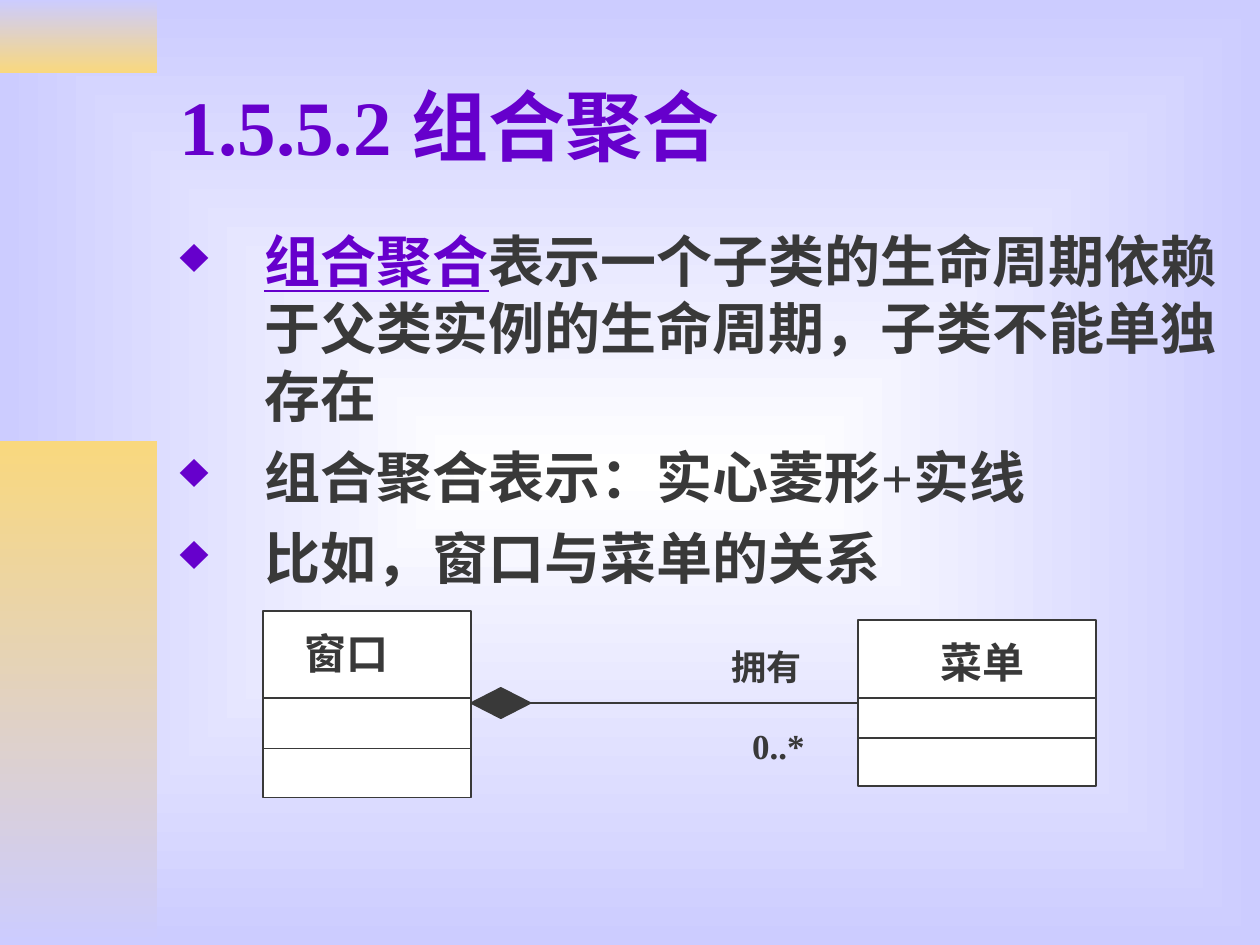
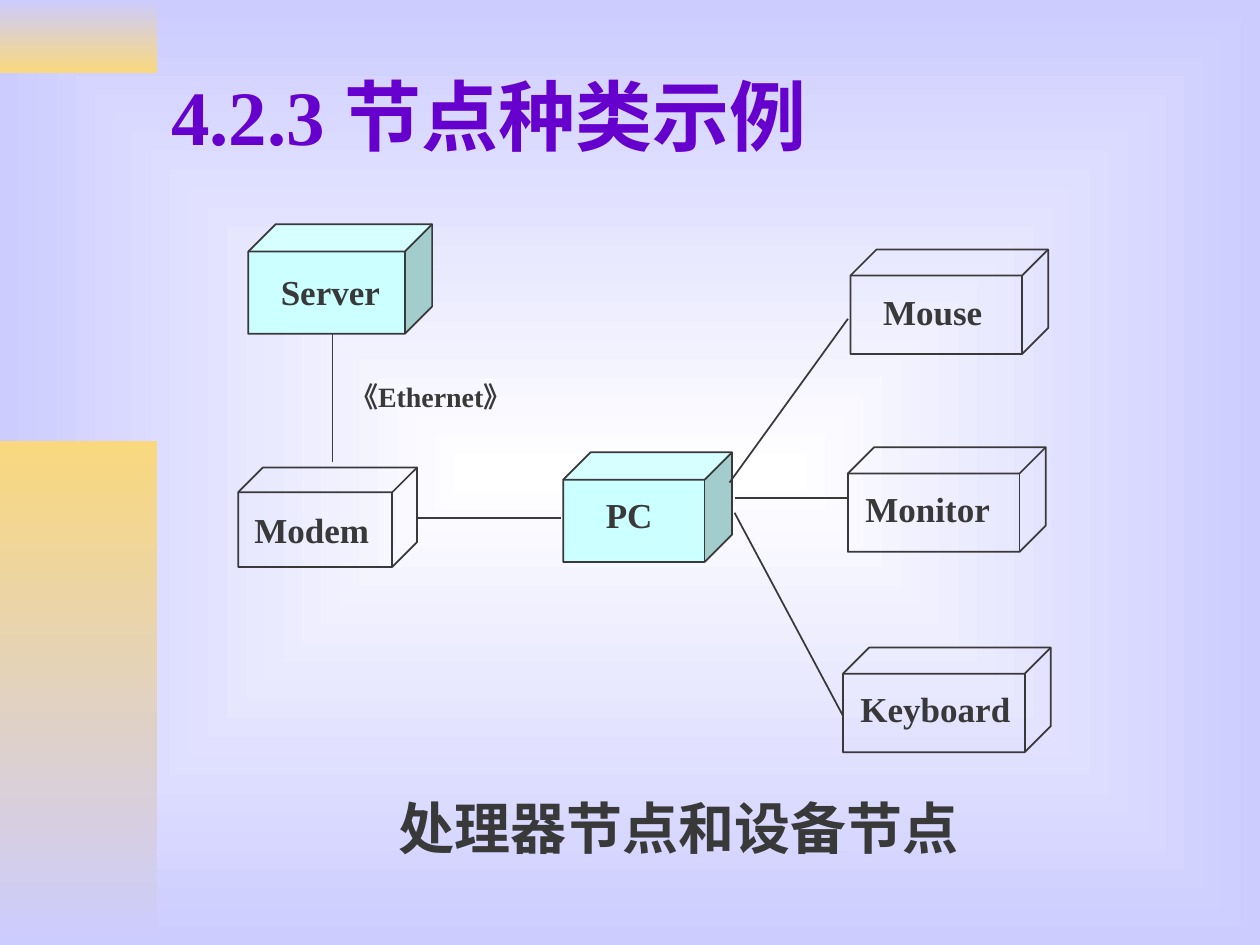
from lxml.etree import SubElement
from pptx import Presentation
from pptx.dml.color import RGBColor
from pptx.enum.shapes import MSO_CONNECTOR, MSO_SHAPE
from pptx.enum.text import MSO_ANCHOR, PP_ALIGN
from pptx.oxml.ns import qn
from pptx.util import Inches, Pt

VIOLET = RGBColor(0x66, 0x00, 0xCC)
INK = RGBColor(0x39, 0x39, 0x39)
LILAC = RGBColor(0xCC, 0xCC, 0xFF)
GOLD = RGBColor(0xF9, 0xD8, 0x7E)
AQUA = RGBColor(0xCC, 0xFF, 0xFF)
WHITE = RGBColor(0xFF, 0xFF, 0xFF)

# The slide is a grid of 100 columns by 75 rows
COLS, ROWS = 100, 75
WIDE, HIGH = Inches(10), Inches(7.5)

BASE = {"name": "Times New Roman", "bold": True}
HEAD = {**BASE, "size": Pt(44)}
BODY = {**BASE, "size": Pt(32)}
TERM = {**BODY, "underline": True}
NAME = {**BASE, "size": Pt(24)}
NOTE = {**BASE, "size": Pt(20)}
SMALL = {**BASE, "size": Pt(16)}


def grid(*vals):
    """Turn column, row, column, row ... into lengths."""
    unit = (WIDE / COLS, HIGH / ROWS)
    return [round(v * unit[i % 2]) for i, v in enumerate(vals)]


def write(para, text, form, color=INK):
    run = para.add_run()
    run.text = text
    for key, val in form.items():
        setattr(run.font, key, val)
    run.font.color.rgb = color


def text_box(slide, box):
    frame = slide.shapes.add_textbox(*grid(*box)).text_frame
    frame.word_wrap = True
    return frame


def label(slide, box, text, form, align=PP_ALIGN.LEFT):
    para = text_box(slide, box).paragraphs[0]
    para.alignment = align
    write(para, text, form)
    return para


def outline(shape):
    shape.line.color.rgb = INK
    shape.line.width = Pt(1)


def draw(slide, kind, box, fill=None):
    shape = slide.shapes.add_shape(kind, *grid(*box))
    shape.shadow.inherit = False
    if fill is None:
        shape.fill.background()
    else:
        shape.fill.solid()
        shape.fill.fore_color.rgb = fill
    outline(shape)
    return shape


def link(slide, *ends):
    line = slide.shapes.add_connector(MSO_CONNECTOR.STRAIGHT, *grid(*ends))
    outline(line)
    SubElement(line._element.spPr, qn("a:effectLst"))
    return line


def blend(fill, *colors):
    fill.gradient()
    for stop, color in zip(fill.gradient_stops, colors):
        stop.color.rgb = color


def backdrop(master):
    fill = master.background.fill
    blend(fill, WHITE, LILAC)
    grad = master._element.find(".//" + qn("a:gradFill"))
    grad.remove(grad.find(qn("a:lin")))
    rect = SubElement(grad, qn("a:path"), {"path": "rect"})
    SubElement(rect, qn("a:fillToRect"), {side: "50000" for side in "ltrb"})


def base(deck, title, left, top):
    """A slide with its two side bands and its title."""
    slide = deck.slides.add_slide(deck.slide_layouts[6])
    for row, rows, colors in ((0, 5.8, (LILAC, GOLD)), (35, 40, (GOLD, LILAC))):
        band = draw(slide, MSO_SHAPE.RECTANGLE, (0, row, 12.5, rows))
        blend(band.fill, *colors)
        band.fill.gradient_angle = 270
        band.line.fill.background()
    frame = text_box(slide, (left, top, 85, 13.2))
    frame.vertical_anchor = MSO_ANCHOR.MIDDLE
    write(frame.paragraphs[0], title, HEAD, VIOLET)
    return slide


def bullet(para):
    props = para._p.get_or_add_pPr()
    props.set("marL", str(Inches(0.67)))
    props.set("indent", str(-Inches(0.67)))
    color = SubElement(props, qn("a:buClr"))
    SubElement(color, qn("a:srgbClr"), val=str(VIOLET))
    SubElement(props, qn("a:buSzPct"), val="90000")
    SubElement(props, qn("a:buChar"), char="♦")


def points(slide, box, items):
    frame = text_box(slide, box)
    for i, runs in enumerate(items):
        para = frame.add_paragraph() if i else frame.paragraphs[0]
        bullet(para)
        if i:
            para.space_before = Pt(8)
        for run in runs:
            write(para, *run)


def class_box(slide, box, name, spot, align, rules):
    """A class: its name at an inset box, and rules at rows from its top."""
    x, y, w, h = box
    rect = draw(slide, MSO_SHAPE.RECTANGLE, box, WHITE)
    inset, wide = spot
    label(slide, (x + inset, y + 0.8, wide, 5), name, NAME, align)
    for row in rules:
        link(slide, x, y + row, x + w, y + row)
    return rect


def classes(slide, box):
    """Two classes joined by a filled diamond and a line."""
    x, y = box[:2]
    class_box(slide, (x, y, 16.5, 14.8), "窗口", (2.3, 11),
              PP_ALIGN.LEFT, (6.9, 10.9))
    menu = class_box(slide, (x + 47.2, y + 0.7, 18.9, 13.2), "菜单",
                     (1.6, 16.5), PP_ALIGN.CENTER, (6.2, 9.4))
    gem = draw(slide, MSO_SHAPE.FLOWCHART_DECISION,
               (x + 16.5, y + 6.1, 4.7, 2.4), INK)
    line = link(slide, x + 21.2, y + 7.3, x + 47.2, y + 7.3)
    line.begin_connect(gem, 3)
    line.end_connect(menu, 1)
    label(slide, (x + 36.2, y + 2.2, 10.2, 4.4), "拥有", NOTE)
    label(slide, (x + 37.8, y + 8.5, 7.1, 4.4), "0..*", NOTE)


def node(slide, box, name, spot, fill=None):
    """A cube with its name at an inset left, top and width."""
    x, y = box[:2]
    draw(slide, MSO_SHAPE.CUBE, box, fill).adjustments[0] = 0.25
    left, top, wide = spot
    label(slide, (x + left, y + top, wide, 4.4), name, NOTE)


def network(slide, box):
    x, y = box[:2]
    # Nodes: place and size, name, label inset, fill
    for (left, top, w, h), *rest in (
        ((0.8, 0, 14.6, 8.7), "Server", (1.6, 3.2, 10.2), AQUA),
        ((25.8, 18.1, 13.4, 8.7), "PC", (2.4, 2.8, 7.1), AQUA),
        ((0, 19.3, 14.2, 7.9), "Modem", (0.3, 2.8, 11.4)),
        ((48.6, 2, 15.7, 8.3), "Mouse", (1.6, 2.8, 10.2)),
        ((48.4, 17.7, 15.7, 8.3), "Monitor", (0.4, 2.7, 13.4)),
        ((48, 33.6, 16.5, 8.3), "Keyboard", (0.4, 2.7, 14.9)),
    ):
        node(slide, (x + left, y + top, w, h), *rest)
    # Lines between nodes
    for x1, y1, x2, y2 in (
        (7.5, 18.9, 7.5, 8.7),
        (14.2, 23.3, 25.6, 23.3),
        (39.4, 21.7, 48.4, 21.7),
        (39.4, 22.9, 48, 39),
        (39, 20.5, 48.4, 7.5),
    ):
        link(slide, x + x1, y + y1, x + x2, y + y2)
    label(slide, (x + 7.9, y + 11.8, 16.1, 3.7), "《Ethernet》", SMALL)


def main():
    deck = Presentation()
    deck.slide_width, deck.slide_height = WIDE, HIGH
    backdrop(deck.slide_master)

    # Composition
    slide = base(deck, "1.5.5.2 组合聚合", 13.3, 3.3)
    points(slide, (13.3, 17.5, 85, 31), (
        (("组合聚合", TERM, VIOLET),
         ("表示一个子类的生命周期依赖于父类实例的生命周期，子类不能单独存在", BODY)),
        (("组合聚合表示：实心菱形+实线", BODY),),
        (("比如，窗口与菜单的关系", BODY),),
    ))
    classes(slide, (20.9, 48.5, 66.1, 14.8))

    # Kinds of node
    slide = base(deck, "4.2.3 节点种类示例", 12.6, 2.5)
    para = label(slide, (11.4, 63.9, 85, 5.2), "处理器节点和设备节点",
                 BODY, PP_ALIGN.CENTER)
    para.line_spacing = 0.7
    network(slide, (18.9, 17.8, 64.5, 41.9))

    deck.save("out.pptx")


if __name__ == "__main__":
    main()
